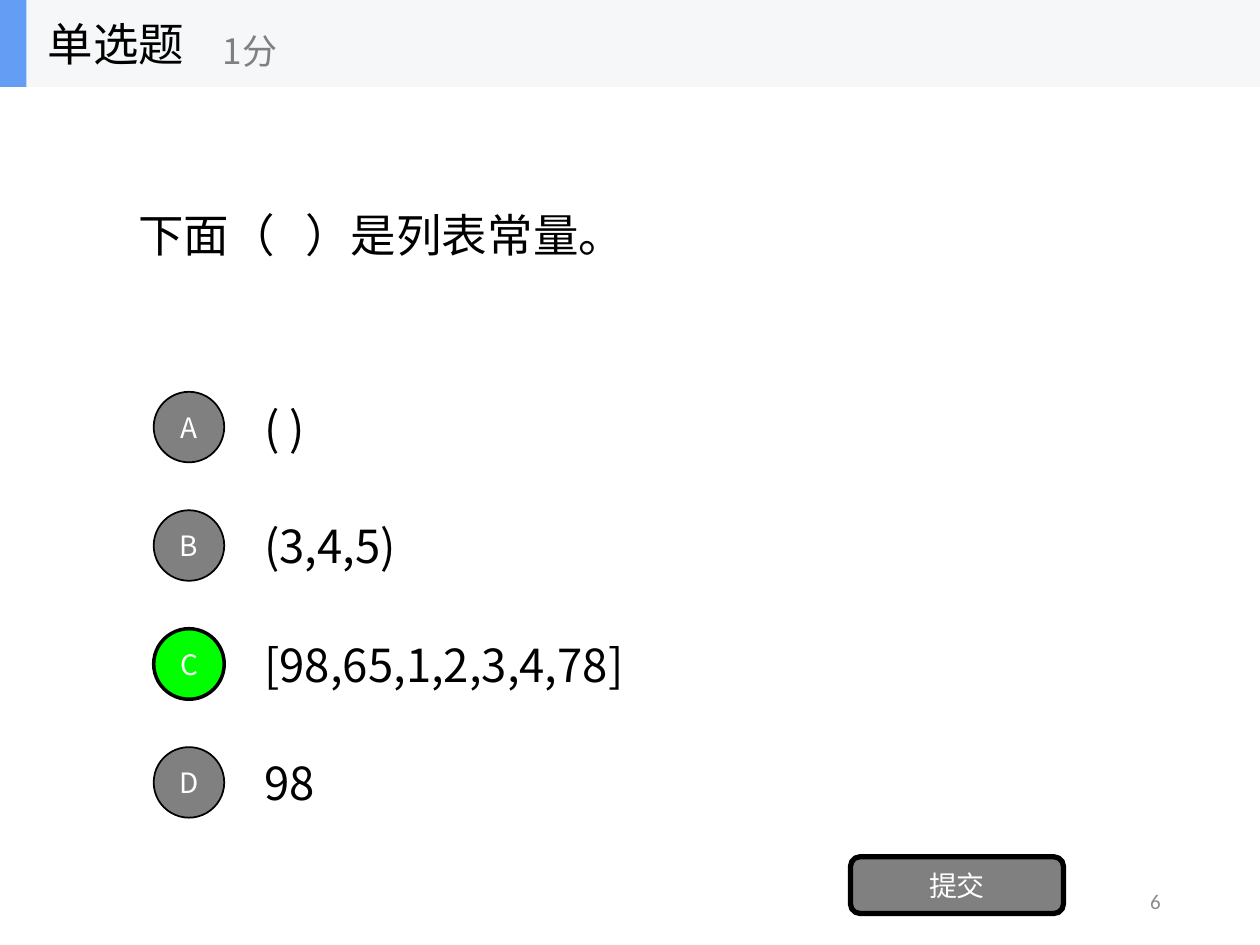
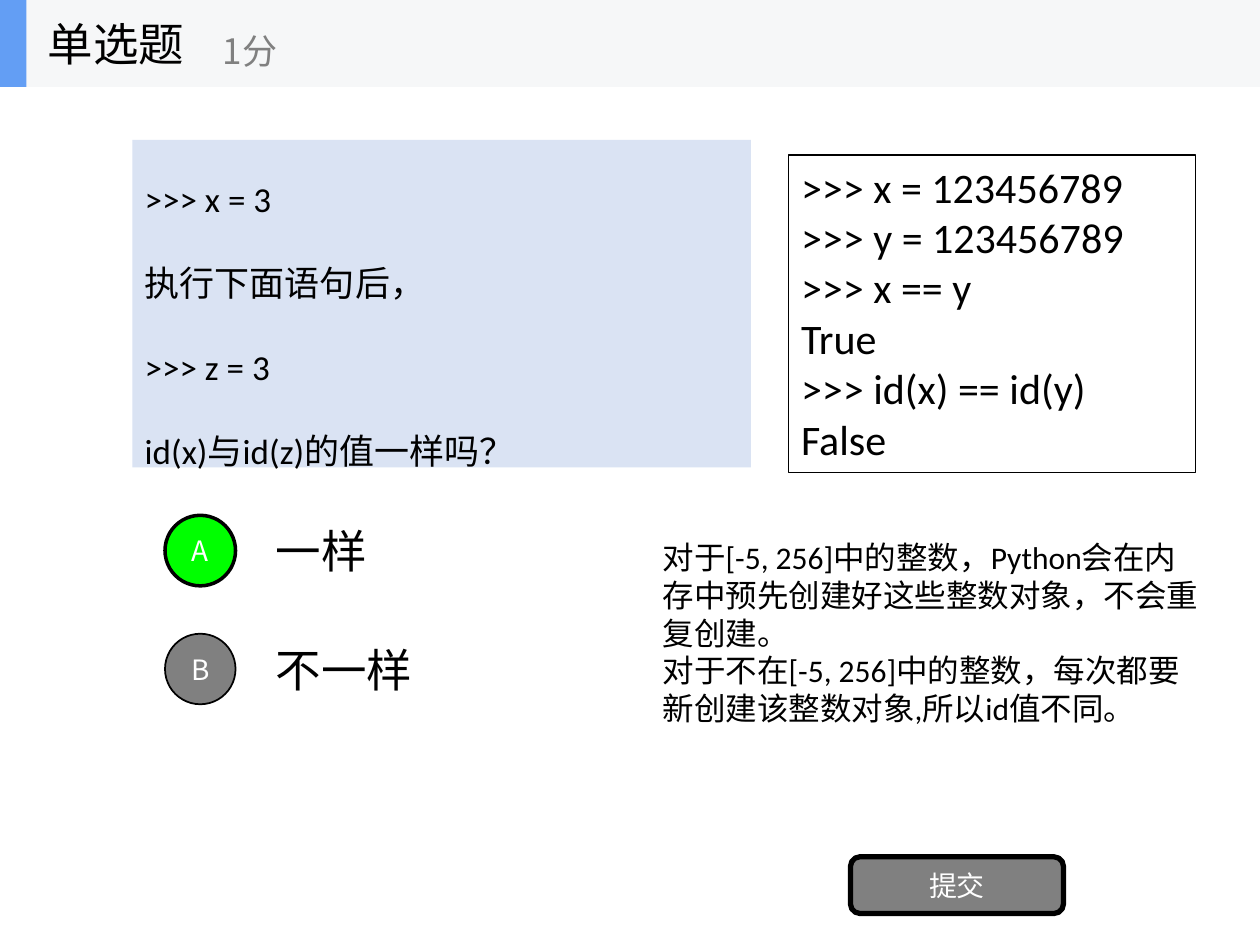
from lxml import etree
from pptx import Presentation
from pptx.dml.color import RGBColor
from pptx.enum.shapes import MSO_SHAPE
from pptx.enum.text import MSO_ANCHOR, PP_ALIGN
from pptx.oxml.ns import qn
from pptx.util import Inches, Pt

RECT, ROUND, OVAL = MSO_SHAPE.RECTANGLE, MSO_SHAPE.ROUNDED_RECTANGLE, MSO_SHAPE.OVAL
LEFT, CENTER, RIGHT = PP_ALIGN.LEFT, PP_ALIGN.CENTER, PP_ALIGN.RIGHT
TOP, MIDDLE = MSO_ANCHOR.TOP, MSO_ANCHOR.MIDDLE

LATIN, HAN = "Calibri", "Noto Sans CJK SC"
BLACK, WHITE, GRAY, GREEN = "000000", "FFFFFF", "808080", "00FF00"
BAND, ACCENT, PANEL, FAINT = "F6F7F8", "639EF4", "DAE3F3", "8C8C8C"
PITCH = 0.94  # from one option to the next


def rgb(code):
    return RGBColor.from_string(code)


def write(shape, lines, size, color=BLACK, face=HAN, align=LEFT,
          anchor=MIDDLE, space=1.0):
    """Fill a shape with one paragraph per line."""
    frame = shape.text_frame
    frame.word_wrap = True
    frame.vertical_anchor = anchor
    frame.text = "\n".join(lines)
    for para in frame.paragraphs:
        para.alignment = align
        para.line_spacing = space
        font = para.font
        font.size, font.name = Pt(size), face
        font.color.rgb = rgb(color)
        props = para._p.pPr.find(qn("a:defRPr"))
        etree.SubElement(props, qn("a:ea")).set("typeface", HAN)


def text(slide, box, lines, size, **style):
    shape = slide.shapes.add_textbox(*map(Inches, box))
    write(shape, lines, size, **style)


def block(slide, kind, box, fill=None, line=0):
    """Add a preset shape; line is the outline width in points."""
    shape = slide.shapes.add_shape(kind, *map(Inches, box))
    shape.shadow.inherit = False
    if fill:
        shape.fill.solid()
        shape.fill.fore_color.rgb = rgb(fill)
    else:
        shape.fill.background()
    if line:
        shape.line.color.rgb = rgb(BLACK)
        shape.line.width = Pt(line)
    else:
        shape.line.fill.background()
    return shape


def header(slide, width=10, height=0.69):
    block(slide, RECT, (0, 0, width, height), BAND)
    block(slide, RECT, (0, 0, 0.21, height), ACCENT)
    text(slide, (0.28, 0, 2.08, height), ["单选题"], 26)
    text(slide, (1.67, 0.12, 2.5, 0.56), ["1分"], 20, color=GRAY)


def submit(slide):
    button = block(slide, ROUND, (6.75, 6.8, 1.69, 0.45), GRAY, 3)
    write(button, ["提交"], 16, color=WHITE, align=CENTER)


def options(slide, left, top, labels, answer):
    """List the choices, each with a lettered badge; the answer is green."""
    for i, (letter, label) in enumerate(zip("ABCD", labels)):
        y = top + i * PITCH
        text(slide, (left, y, 7, 0.7), [label], 26)
        right = letter == answer
        badge = block(slide, OVAL, (left - 0.78, y + 0.07, 0.56, 0.56),
                      GREEN if right else GRAY, 2 if right else 1)
        frame = badge.text_frame
        frame.margin_left = frame.margin_right = 0
        write(badge, [letter], 16, color=WHITE, align=CENTER)


def quiz(deck):
    """Start a question slide with its band and button."""
    slide = deck.slides.add_slide(deck.slide_layouts[6])
    header(slide)
    submit(slide)
    return slide


def list_slide(deck):
    slide = quiz(deck)
    text(slide, (1, 0.69, 8, 2.34), ["下面（   ）是列表常量。"], 26)
    options(slide, 2, 3.04, ["( )", "(3,4,5)", "[98,65,1,2,3,4,78]", "98"], "C")
    # Page number
    text(slide, (7.06, 6.95, 2.25, 0.4), ["6"], 12,
         color=FAINT, face=LATIN, align=RIGHT)


def id_slide(deck):
    slide = quiz(deck)
    # Question
    panel = block(slide, RECT, (1.05, 1.11, 4.91, 2.6), PANEL)
    write(panel, [">>> x = 3", "执行下面语句后，", ">>> z = 3",
                  "id(x)与id(z)的值一样吗？"], 20, face=LATIN, space=2.0)
    options(slide, 2.09, 4.02, ["一样", "不一样"], "A")
    # Console sample
    shell = block(slide, RECT, (6.26, 1.23, 3.23, 2.52), line=0.75)
    write(shell, [">>> x = 123456789", ">>> y = 123456789", ">>> x == y",
                  "True", ">>> id(x) == id(y)", "False"],
          24, face=LATIN, anchor=TOP)
    # Explanation
    text(slide, (5.16, 4.22, 4.49, 1.62), [
        "对于[-5, 256]中的整数，Python会在内存中预先创建好这些整数对象，不会重复创建。",
        "对于不在[-5, 256]中的整数，每次都要新创建该整数对象,所以id值不同。",
    ], 18, face=LATIN, anchor=TOP)


def main():
    deck = Presentation()
    deck.slide_width, deck.slide_height = Inches(10), Inches(7.5)
    list_slide(deck)
    id_slide(deck)
    deck.save("out.pptx")


if __name__ == "__main__":
    main()
